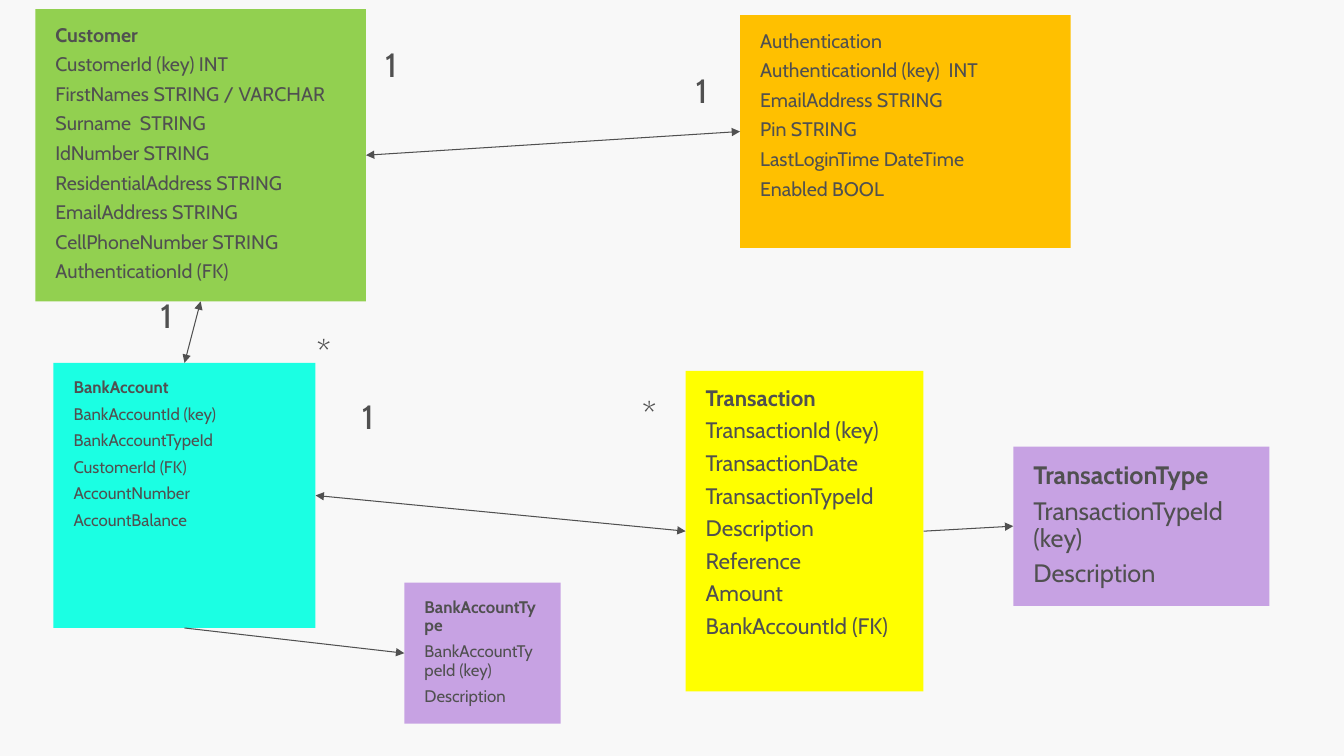
from lxml import etree
from pptx import Presentation
from pptx.dml.color import RGBColor as RGB
from pptx.enum.shapes import MSO_CONNECTOR as CONN, MSO_SHAPE as SHAPE
from pptx.enum.text import MSO_ANCHOR as ANCHOR, PP_ALIGN as ALIGN
from pptx.oxml.ns import qn
from pptx.util import Inches, Pt

THEME = {
    "font": "Cabin", "ink": "505050", "background": "F8F8F8",
    "green": "92D050", "cyan": "1BFFE3", "yellow": "FFFF00",
    "orange": "FFC000", "purple": "C7A2E3",
    "small": 12, "medium": 14, "large": 16, "title": 18, "mark": 24,
    "line": 0.75,
}

ENTITIES = {
    "Customer": ((0.35, 0.09, 3.28, 2.9), "green", "medium", True, [
        "CustomerId (key) INT", "FirstNames STRING / VARCHAR",
        "Surname  STRING", "IdNumber STRING", "ResidentialAddress STRING",
        "EmailAddress STRING", "CellPhoneNumber STRING",
        "AuthenticationId (FK)"]),
    "BankAccount": ((0.53, 3.6, 2.6, 2.63), "cyan", "small", True, [
        "BankAccountId (key)", "BankAccountTypeId", "CustomerId (FK)",
        "AccountNumber", "AccountBalance"]),
    "Transaction": ((6.8, 3.68, 2.36, 3.18), "yellow", "large", True, [
        "TransactionId (key)", "TransactionDate", "TransactionTypeId",
        "Description", "Reference", "Amount", "BankAccountId (FK)"]),
    "Authentication": ((7.34, 0.15, 3.28, 2.31), "orange", "medium", False, [
        "AuthenticationId (key)  INT", "EmailAddress STRING", "Pin STRING",
        "LastLoginTime DateTime", "Enabled BOOL"]),
    "TransactionType": ((10.05, 4.43, 2.54, 1.58), "purple", "title", True, [
        "TransactionTypeId (key)", "Description"]),
    "BankAccountType": ((4.01, 5.78, 1.55, 1.4), "purple", "small", True, [
        "BankAccountTypeId (key)", "Description"]),
}

TOP, LEFT, BOTTOM, RIGHT = range(4)
RELATIONS = [
    ("Customer", BOTTOM, "BankAccount", TOP, True),
    ("BankAccount", RIGHT, "Transaction", LEFT, True),
    ("Customer", RIGHT, "Authentication", LEFT, True),
    ("Transaction", RIGHT, "TransactionType", LEFT, False),
    ("BankAccount", BOTTOM, "BankAccountType", LEFT, False),
]

MARK_HEIGHT = 0.69
CARDINALITIES = [
    ("1", 1.39, 2.81, 0.72), ("*", 2.94, 3.17, 0.72),
    ("1", 3.39, 3.81, 0.46), ("*", 6.17, 3.78, 0.66),
    ("1", 3.62, 0.32, 0.72), ("1", 6.7, 0.58, 0.72),
]


def color(name):
    return RGB.from_string(THEME[name])


def write(sp, lines, size, bold_first=False):
    tf = sp.text_frame
    tf.word_wrap = True
    tf.vertical_anchor = ANCHOR.TOP
    tf.margin_left = tf.margin_right = Inches(0.2)
    tf.margin_top = tf.margin_bottom = Inches(0.16)
    tf.text = "\n".join(lines)
    for i, p in enumerate(tf.paragraphs):
        p.alignment = ALIGN.LEFT
        p.line_spacing = 0.9
        p.space_after = Pt(6)
        for r in p.runs:
            r.font.name = THEME["font"]
            r.font.size = Pt(THEME[size])
            r.font.bold = bold_first and i == 0
            r.font.color.rgb = color("ink")


def add_entity(s, name, box, fill, size, bold, fields):
    sp = s.shapes.add_shape(SHAPE.RECTANGLE, *map(Inches, box))
    sp.shadow.inherit = False
    sp.fill.solid()
    sp.fill.fore_color.rgb = color(fill)
    sp.line.fill.background()
    write(sp, [name, *fields], size, bold)
    return sp


def add_relation(s, start, start_side, end, end_side, two_way):
    cx = s.shapes.add_connector(CONN.STRAIGHT, 0, 0, 0, 0)
    cx.begin_connect(start, start_side)
    cx.end_connect(end, end_side)
    cx.line.color.rgb = color("ink")
    cx.line.width = Pt(THEME["line"])
    ln = cx.line._get_or_add_ln()
    for tag in ("a:headEnd", "a:tailEnd") if two_way else ("a:tailEnd",):
        etree.SubElement(ln, qn(tag), type="triangle")
    etree.SubElement(cx._element.spPr, qn("a:effectLst"))


def main():
    prs = Presentation()
    prs.slide_width, prs.slide_height = Inches(13.33), Inches(7.5)
    s = prs.slides.add_slide(prs.slide_layouts[6])
    s.background.fill.solid()
    s.background.fill.fore_color.rgb = color("background")

    boxes = {name: add_entity(s, name, *entity)
             for name, entity in ENTITIES.items()}
    for start, start_side, end, end_side, two_way in RELATIONS:
        add_relation(s, boxes[start], start_side, boxes[end], end_side, two_way)
    for mark, left, top, width in CARDINALITIES:
        sp = s.shapes.add_textbox(*map(Inches, (left, top, width, MARK_HEIGHT)))
        write(sp, [mark], "mark")
    prs.save("out.pptx")


if __name__ == "__main__":
    main()
